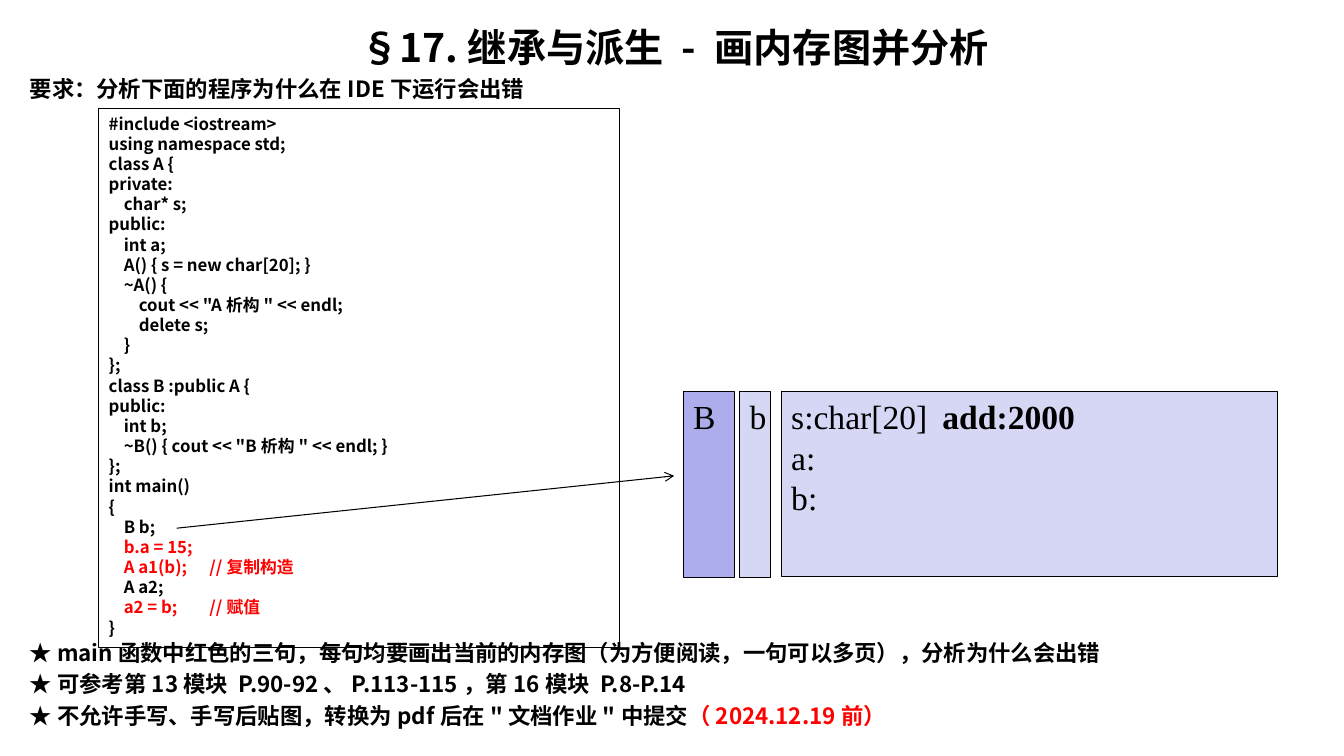
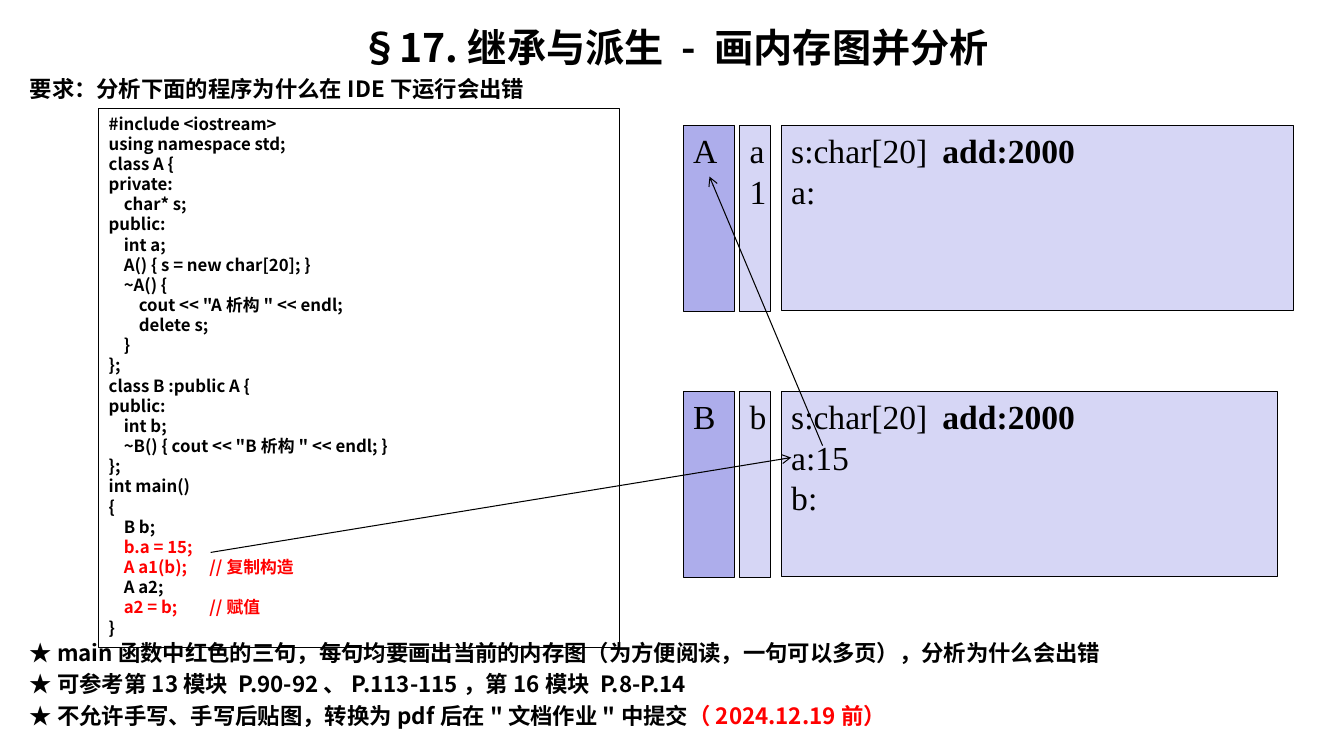
from dataclasses import dataclass

from lxml import etree
from pptx import Presentation
from pptx import util as u
from pptx.dml.color import RGBColor
from pptx.enum import shapes, text
from pptx.oxml import ns


@dataclass(frozen=True)
class Theme:
    ink: str = "000000"
    alert: str = "FF0000"
    class_fill: str = "ADADEB"
    object_fill: str = "D6D6F5"
    sans: str = "Noto Sans CJK SC"
    serif: str = "Times New Roman"
    title_size: int = 28
    body_size: int = 16
    code_size: int = 12
    memory_size: int = 24
    leading: float = 1.2
    line_width: float = 0.75
    code_indent: float = 0.38
    code_tab: float = 2.2
    memory_tab: float = 3.9


THEME = Theme()

TITLE = "§17.继承与派生 - 画内存图并分析"
TASK = "要求：分析下面的程序为什么在IDE下运行会出错"
NOTES = [
    "★ main函数中红色的三句，每句均要画出当前的内存图（为方便阅读，一句可以多页），分析为什么会出错",
    "★ 可参考第13模块 P.90-92、P.113-115，第16模块 P.8-P.14",
    "★ 不允许手写、手写后贴图，转换为pdf后在\"文档作业\"中提交",
]
DEADLINE = "（2024.12.19前）"
CODE = [
    (0, "#include <iostream>"),
    (0, "using namespace std;"),
    (0, "class A {"),
    (0, "private:"),
    (1, "char* s;"),
    (0, "public:"),
    (1, "int a;"),
    (1, "A() { s = new char[20]; }"),
    (1, "~A() {"),
    (2, "cout << \"A析构\" << endl;"),
    (2, "delete s;"),
    (1, "}"),
    (0, "};"),
    (0, "class B :public A {"),
    (0, "public:"),
    (1, "int b;"),
    (1, "~B() { cout << \"B析构\" << endl; }"),
    (0, "};"),
    (0, "int main()"),
    (0, "{"),
    (1, "B b;"),
    (1, "b.a = 15;"),
    (1, "A a1(b);\t//复制构造"),
    (1, "A a2;"),
    (1, "a2 = b;\t//赋值"),
    (0, "}"),
]
RED_STATEMENTS = ("b.a =", "A a1(", "a2 =")
NOTES_GAP = 384
UPPER_ROW, LOWER_ROW = 3.16, 9.86


def write(para, words, size, font=THEME.sans, color=THEME.ink, bold=False):
    span = para.add_run()
    span.text = words
    span.font.size = u.Pt(size)
    span.font.name = font
    span.font.bold = bold
    span.font.color.rgb = RGBColor.from_string(color)
    east_asian = etree.SubElement(span.font._element, ns.qn("a:ea"))
    east_asian.set("typeface", font)


class Board:
    def __init__(self, theme):
        self.theme = theme
        self.deck = Presentation()
        self.deck.slide_width = u.Cm(33.87)
        self.deck.slide_height = u.Cm(19.05)
        self.page = None

    def new_page(self):
        self.page = self.deck.slides.add_slide(self.deck.slide_layouts[6])
        self.instructions()
        self.listing()

    def paragraph(self, box, size, before=0, indent=0, tab=None):
        frame = box.text_frame
        para = frame.paragraphs[0]
        if para.runs:
            para = frame.add_paragraph()
        para.alignment = text.PP_ALIGN.LEFT
        para.line_spacing = u.Pt(size * self.theme.leading)
        para.space_before = u.Pt(before)
        properties = para._p.get_or_add_pPr()
        properties.set("marL", "0")
        properties.set("indent", str(u.Cm(indent)))
        if tab:
            stops = etree.SubElement(properties, ns.qn("a:tabLst"))
            etree.SubElement(stops, ns.qn("a:tab"), pos=str(u.Cm(tab)), algn="l")
        return para

    def instructions(self):
        theme = self.theme
        box = self.page.shapes.add_textbox(
            u.Cm(0.5), u.Cm(0.46), u.Cm(33), u.Cm(18))
        box.text_frame.word_wrap = True
        para = self.paragraph(box, theme.title_size)
        para.alignment = text.PP_ALIGN.CENTER
        write(para, TITLE, theme.title_size, bold=True)
        gap = theme.body_size * 0.2
        for line in [TASK] + NOTES:
            before = NOTES_GAP if line == NOTES[0] else gap
            para = self.paragraph(box, theme.body_size, before)
            write(para, line, theme.body_size, bold=True)
        write(para, DEADLINE, theme.body_size, color=theme.alert, bold=True)

    def rectangle(self, left, top, width, height, fill=None):
        box = self.page.shapes.add_shape(
            shapes.MSO_SHAPE.RECTANGLE,
            u.Cm(left), u.Cm(top), u.Cm(width), u.Cm(height))
        box.shadow.inherit = False
        if fill:
            box.fill.solid()
            box.fill.fore_color.rgb = RGBColor.from_string(fill)
        else:
            box.fill.background()
        self.outline(box)
        box.text_frame.word_wrap = True
        box.text_frame.vertical_anchor = text.MSO_ANCHOR.TOP
        return box

    def outline(self, item):
        item.line.color.rgb = RGBColor.from_string(self.theme.ink)
        item.line.width = u.Pt(self.theme.line_width)

    def listing(self):
        theme = self.theme
        box = self.rectangle(2.49, 2.73, 13.13, 13.59)
        for level, line in CODE:
            para = self.paragraph(
                box, theme.code_size, indent=level * theme.code_indent,
                tab=theme.code_tab if "\t" in line else None)
            color = theme.alert if line.startswith(RED_STATEMENTS) else theme.ink
            write(para, line, theme.code_size, color=color, bold=True)

    def memory(self, top, class_name, object_name, members, width):
        theme = self.theme
        style = {"size": theme.memory_size, "font": theme.serif}
        cells = [
            (17.22, 1.3, theme.class_fill, class_name),
            (18.64, 0.79, theme.object_fill, object_name),
        ]
        for left, cell_width, fill, label in cells:
            box = self.rectangle(left, top, cell_width, 4.69, fill)
            write(self.paragraph(box, theme.memory_size), label, **style)
        box = self.rectangle(19.69, top, width, 4.67, theme.object_fill)
        para = self.paragraph(box, theme.memory_size, tab=theme.memory_tab)
        write(para, "s:char[20]\t", **style)
        write(para, "add:2000", bold=True, **style)
        for member in members:
            write(self.paragraph(box, theme.memory_size), member, **style)

    def arrow(self, start, end):
        line = self.page.shapes.add_connector(
            shapes.MSO_CONNECTOR.STRAIGHT,
            *(u.Cm(value) for value in start + end))
        self.outline(line)
        etree.SubElement(line.line._get_or_add_ln(), ns.qn("a:tailEnd"), type="arrow")
        etree.SubElement(line._element.spPr, ns.qn("a:effectLst"))


def main():
    board = Board(THEME)

    board.new_page()
    board.memory(LOWER_ROW, "B", "b", ["a:", "b:"], 12.5)
    board.arrow((4.45, 13.31), (16.99, 11.99))

    board.new_page()
    board.memory(UPPER_ROW, "A", "a1", ["a:"], 12.9)
    board.memory(LOWER_ROW, "B", "b", ["a:15", "b:"], 12.5)
    board.arrow((5.31, 13.92), (19.94, 11.53))
    board.arrow((20.73, 11.23), (17.88, 4.45))

    board.deck.save("out.pptx")


if __name__ == "__main__":
    main()
